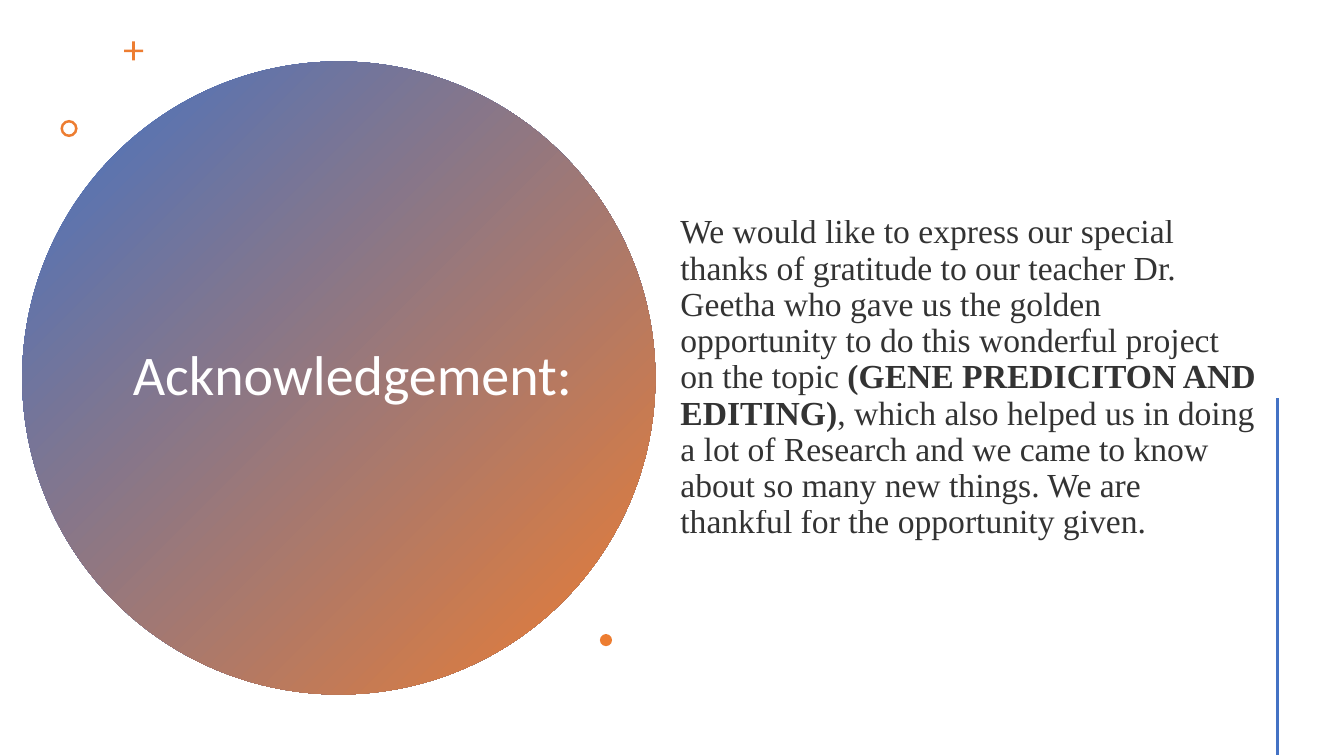
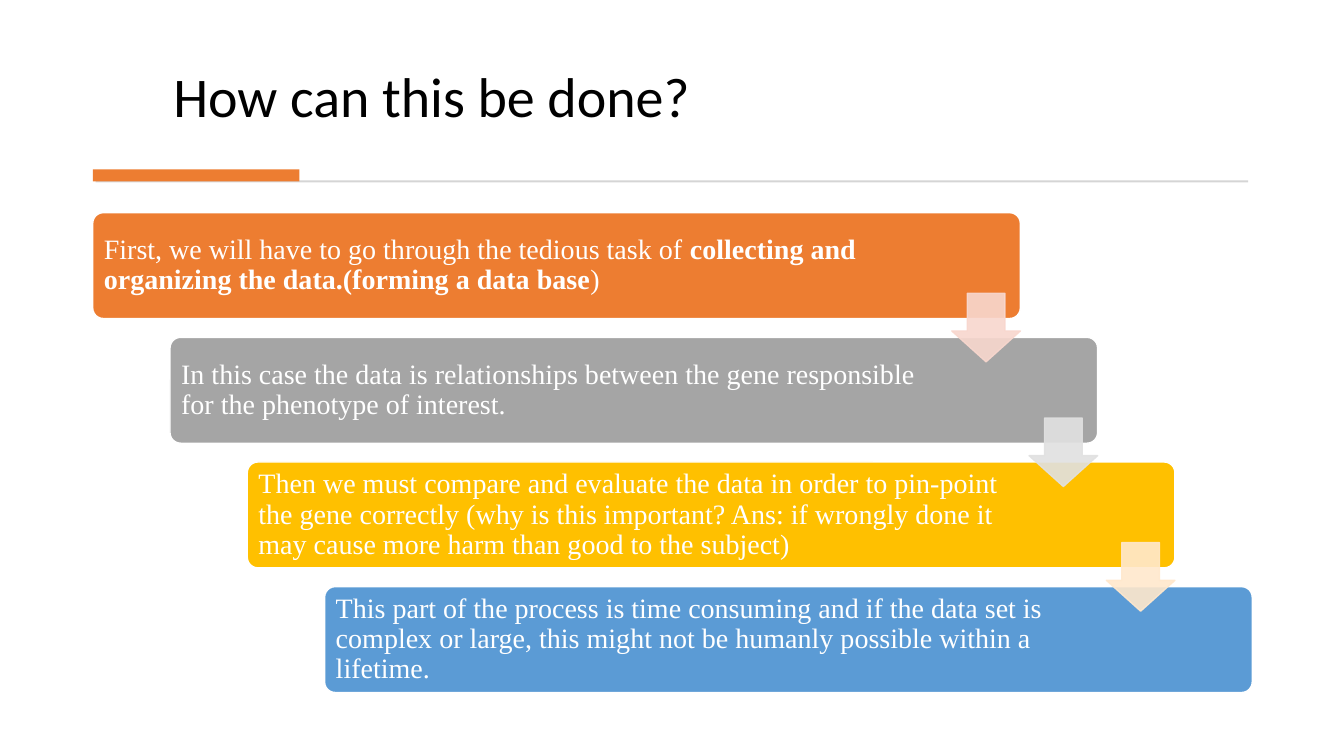
from collections import namedtuple
from pptx import Presentation
from pptx.dml.color import RGBColor
from pptx.enum.shapes import MSO_CONNECTOR, MSO_SHAPE
from pptx.enum.text import MSO_ANCHOR, PP_ALIGN
from pptx.oxml import parse_xml
from pptx.oxml.ns import nsdecls, qn
from pptx.util import Inches, Pt

Box = namedtuple("Box", "x y w h")


# Theme: colours, fonts and type sizes
class Theme:
    blue, orange = "4472C4", "ED7D31"
    white, black, rule = "FFFFFF", "000000", "D5D5D5"
    bars = ["ED7D31", "A5A5A5", "FFC000", "5B9BD5"]
    arrows = ["F8D7CE", "E1E1E1", "FFE8CC"]
    head = {"name": "Calibri", "size": Pt(40)}
    body = {"name": "Times New Roman", "size": Pt(24)}
    step = {"name": "Times New Roman", "size": Pt(20)}


# Shared helpers
def put(obj, vals):
    for key, val in vals.items():
        setattr(obj, key, val)


def rgb(code):
    return RGBColor.from_string(code)


def fade(node, pct):
    for clr in list(node.iter(qn("a:srgbClr"))):
        clr.append(parse_xml(f'<a:alpha {nsdecls("a")} val="{pct * 1000}"/>'))


def shape(slide, kind, box, fill=None, line=None, adj=()):
    item = slide.shapes.add_shape(kind, *map(Inches, box))
    item.shadow.inherit = False
    for i, val in enumerate(adj):
        item.adjustments[i] = val
    if fill:
        item.fill.solid()
        item.fill.fore_color.rgb = rgb(fill)
    if line:
        item.line.color.rgb = rgb(line)
        item.line.width = Pt(1)
    else:
        item.line.fill.background()
    return item


def text(slide, box, runs, font, color, frame=None, para=None, alpha=None):
    """Each run is a pair: wording and whether it is bold."""
    tf = slide.shapes.add_textbox(*map(Inches, box)).text_frame
    put(tf, {"word_wrap": True, "vertical_anchor": MSO_ANCHOR.MIDDLE, **(frame or {})})
    par = tf.paragraphs[0]
    put(par, {"line_spacing": 0.9, **(para or {})})
    for words, bold in runs:
        run = par.add_run()
        run.text = words
        put(run.font, {**font, "bold": bold})
        run.font.color.rgb = rgb(color)
        if alpha:
            fade(run.font.fill._xPr, alpha)


def title(slide, box, words, color, frame=None, para=None):
    text(slide, box, [(words, False)], Theme.head, color, frame, para)


# Round title panel with its small ornaments
def disc(slide, box, words):
    ball = shape(slide, MSO_SHAPE.OVAL, box)
    ball.fill.gradient()
    ball.fill.gradient_angle = 315
    for stop, code in zip(ball.fill.gradient_stops, (Theme.blue, Theme.orange)):
        stop.color.rgb = rgb(code)
    title(slide, Box(box.x + 0.38, box.y + 0.8, 5.79, 4.67), words,
          Theme.white, para={"alignment": PP_ALIGN.CENTER})
    marks = [(MSO_SHAPE.CROSS, 1.01, -0.2, 0.19, [0.43]),
             (MSO_SHAPE.DONUT, 0.38, 0.58, 0.17, [0.15]),
             (MSO_SHAPE.OVAL, 5.73, 5.68, 0.12, [])]
    for kind, dx, dy, size, adj in marks:
        shape(slide, kind, Box(box.x + dx, box.y + dy, size, size),
              Theme.orange, adj=adj)


# Vertical line at the right edge
def edge(slide, box):
    line = slide.shapes.add_connector(
        MSO_CONNECTOR.STRAIGHT, Inches(box.x), Inches(box.y),
        Inches(box.x + box.w), Inches(box.y + box.h))
    line.line.color.rgb = rgb(Theme.blue)
    line.line.width = Pt(2)
    line._element.spPr.append(parse_xml(f'<a:effectLst {nsdecls("a")}/>'))


# Title with a thin rule and an accent band
def header(slide, box, words):
    title(slide, Box(box.x + 0.7, box.y, 11.49, 1.11), words, Theme.black,
          {"vertical_anchor": MSO_ANCHOR.BOTTOM})
    shape(slide, MSO_SHAPE.RECTANGLE,
          Box(box.x + 0.03, box.y + box.h - 0.01, box.w - 0.03, 0.02), Theme.rule)
    shape(slide, MSO_SHAPE.RECTANGLE,
          Box(box.x, box.y + box.h - 0.12, 2.05, 0.12), Theme.orange)


# Staircase of bars, each linked to the next by an arrow
def stairs(slide, box, steps):
    wide, high, size, pad = 9.2, 1.05, 0.68, 0.03
    gaps = len(steps) - 1
    dx, dy = (box.w - wide) / gaps, (box.h - high) / gaps
    bars = [Box(box.x + i * dx, box.y + i * dy, wide, high)
            for i in range(len(steps))]
    inset = {f"margin_{side}": Inches(0.08)
             for side in ("left", "top", "right", "bottom")}
    for i, (bar, runs) in enumerate(zip(bars, steps)):
        shape(slide, MSO_SHAPE.ROUNDED_RECTANGLE, bar, Theme.bars[i],
              Theme.white, [0.1])
        span = 7.69 if i else 7.98
        text(slide, Box(bar.x + pad, bar.y + pad, span, high - 2 * pad), runs,
             Theme.step, Theme.white, inset)
    for bar, code in zip(bars, Theme.arrows):
        arrow = shape(slide, MSO_SHAPE.DOWN_ARROW,
                      Box(bar.x + wide - size, bar.y + 0.8, size, size),
                      code, code)
        put(arrow.adjustments, {})
        arrow.adjustments[0], arrow.adjustments[1] = 0.45, 0.55
        arrow.adjustments[0], arrow.adjustments[1] = 0.55, 0.45
        fade(arrow._element.spPr, 90)


# Slide types
def thanks(slide, words, runs):
    disc(slide, Box(0.22, 0.61, 6.28, 6.28), words)
    text(slide, Box(6.65, 0.57, 5.95, 6.36), runs, Theme.body, Theme.black,
         para={"space_before": Pt(10)}, alpha=80)
    edge(slide, Box(12.67, 3.95, 0, 3.54))


def process(slide, words, steps):
    header(slide, Box(0.92, 0.23, 11.46, 1.57), words)
    stairs(slide, Box(0.92, 2.11, 11.5, 4.76), steps)


# Deck
deck = Presentation()
put(deck, {"slide_width": Inches(13.33), "slide_height": Inches(7.5)})
blank = deck.slide_layouts[6]

thanks(deck.slides.add_slide(blank), "Acknowledgement:", [
    ("We would like to express our special thanks of gratitude to our teacher "
     "Dr. Geetha who gave us the golden opportunity to do this wonderful "
     "project on the topic ", False),
    ("(GENE PREDICITON AND EDITING)", True),
    (", which also helped us in doing a lot of Research and we came to know "
     "about so many new things. We are thankful for the opportunity given.", False),
])

process(deck.slides.add_slide(blank), "How can this be done?", [
    [("First, we will have to go through the tedious task of ", False),
     ("collecting and organizing the data.(forming a data base", True),
     (")", False)],
    [("In this case the data is relationships between the gene responsible "
      "for the phenotype of interest.", False)],
    [("Then\u00a0we must compare and evaluate the data\u00a0in order to\u00a0"
      "pin-point the gene\u00a0correctly (why is this important? Ans: "
      "if\u00a0wrongly\u00a0done it may\u00a0cause more harm than good to "
      "the\u00a0subject)", False)],
    [("This\u00a0part of the process\u00a0is time consuming and if the data "
      "set is complex or large, this might not be humanly possible within "
      "a lifetime.", False)],
])

deck.save("out.pptx")
